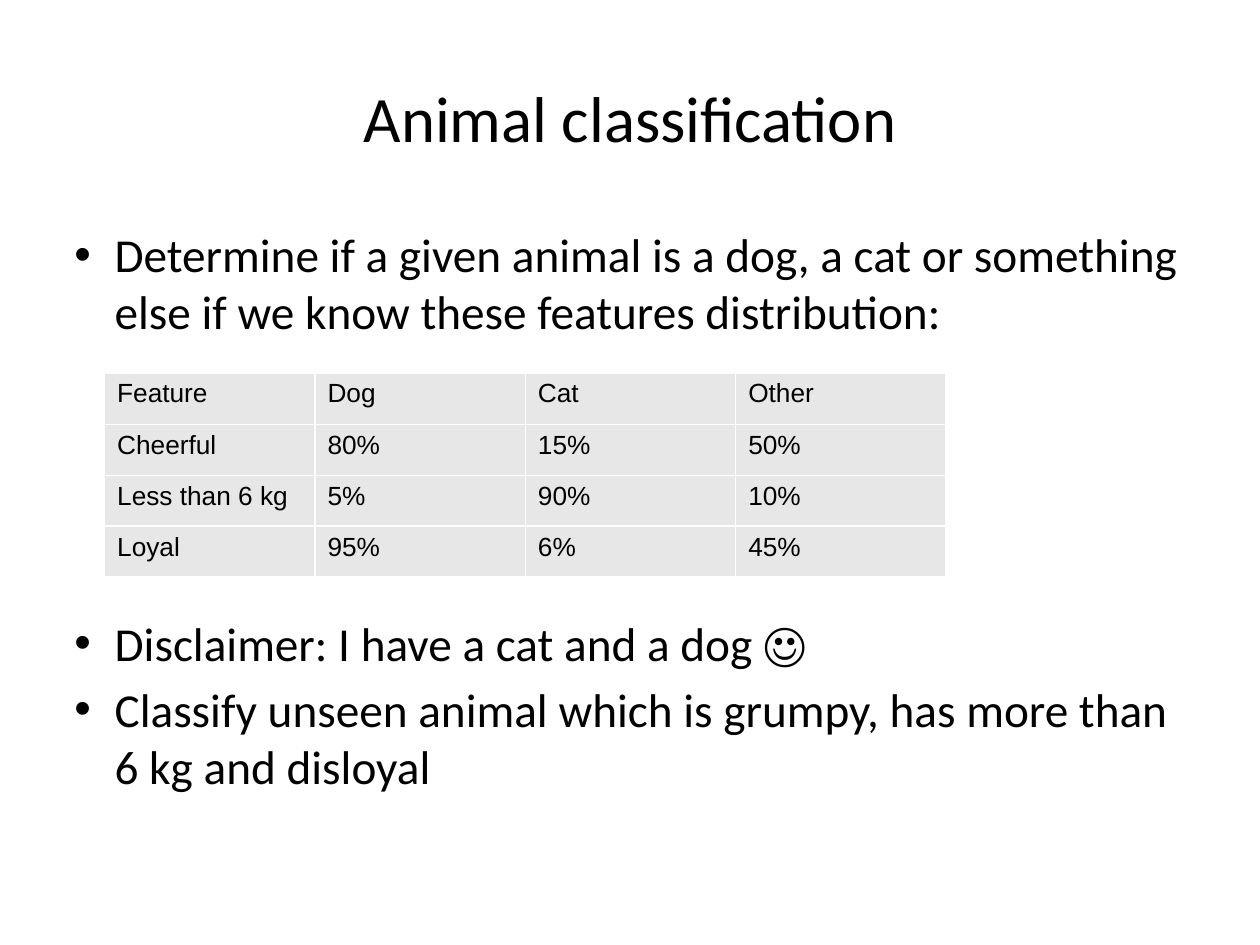
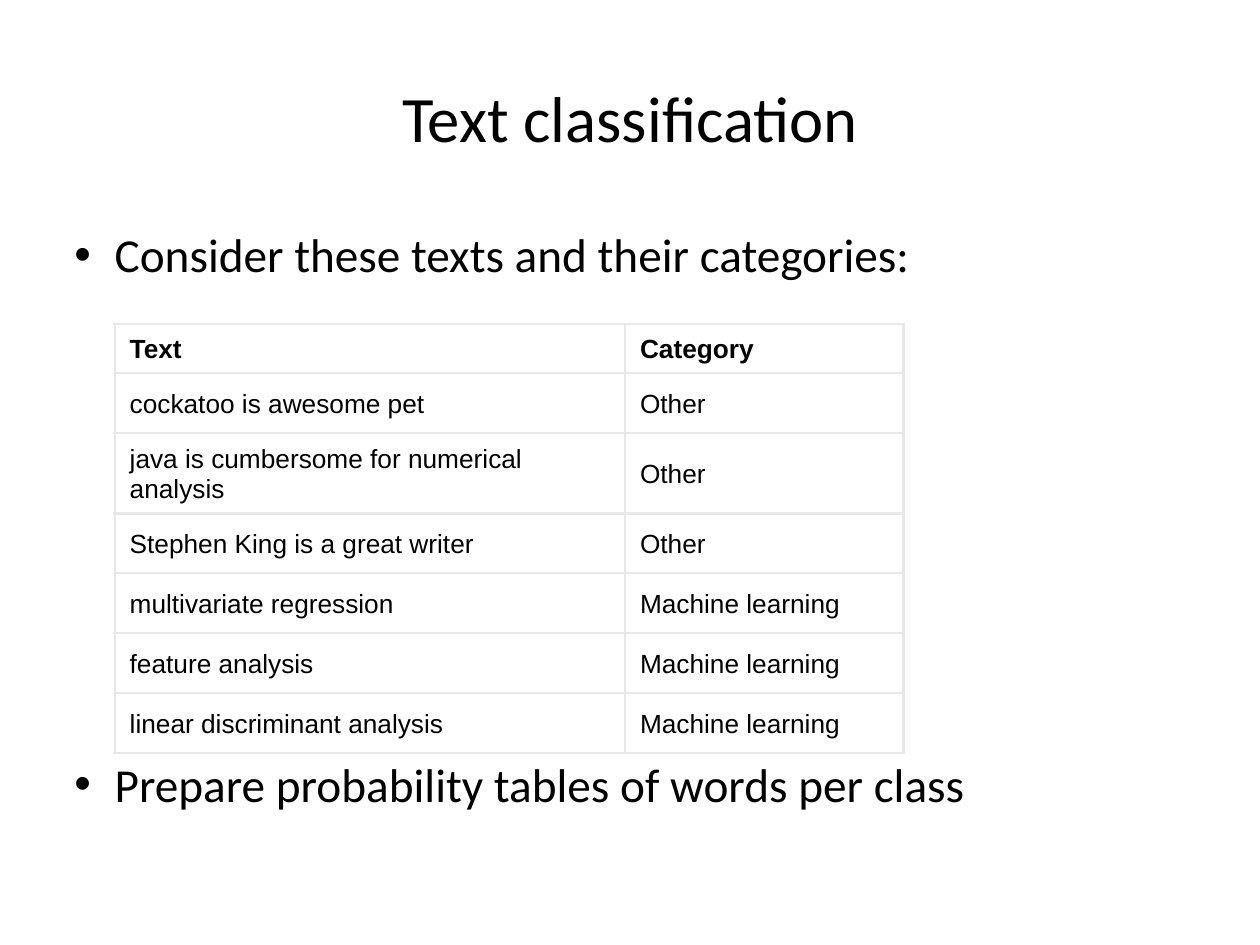
import pptx
import pptx.dml.color
import pptx.enum.text
import pptx.oxml
import pptx.oxml.ns
import pptx.util
from pptx.util import Inches

BLACK = pptx.dml.color.RGBColor(0x00, 0x00, 0x00)
WHITE = pptx.dml.color.RGBColor(0xFF, 0xFF, 0xFF)
CELL_GREY = pptx.dml.color.RGBColor(0xE7, 0xE7, 0xE7)
BORDER_GREY = pptx.dml.color.RGBColor(0xE8, 0xE8, 0xE8)
MIDDLE = pptx.enum.text.MSO_ANCHOR.MIDDLE
TOP = pptx.enum.text.MSO_ANCHOR.TOP
BULLET_GAP = 5.4

SLIDES = [
    {
        "title": "Animal classification",
        "body_height": 5.23,
        # Each bullet: space before in points, text
        "bullets": [
            (BULLET_GAP, "Determine if a given animal is a dog, a cat or something else "
                         "if we know these features distribution:"),
            (157, "Disclaimer: I have a cat and a dog ☺"),
            (BULLET_GAP, "Classify unseen animal which is grumpy, has more than 6 kg and disloyal"),
        ],
        "rows": [
            ("Feature", "Dog", "Cat", "Other"),
            ("Cheerful", "80%", "15%", "50%"),
            ("Less than 6 kg", "5%", "90%", "10%"),
            ("Loyal", "95%", "6%", "45%"),
        ],
        "table_box": (0.83, 2.96, 6.67, 1.62),
        "column_widths": [1.67] * 4,
        "header_height": 0.41,
        "header_bold": False,
        "fill": CELL_GREY,
        "border": (WHITE, 1),
        "anchor": TOP,
        "margins": (0.1, 0.05, 0.1, 0.05),
    },
    {
        "title": "Text classification",
        "body_height": 4.95,
        "bullets": [
            (BULLET_GAP, "Consider these texts and their categories:"),
            (270, "Prepare probability tables of words per class"),
        ],
        "rows": [
            ("Text", "Category"),
            ("cockatoo is awesome pet", "Other"),
            ("java is cumbersome for numerical analysis", "Other"),
            ("Stephen King is a great writer", "Other"),
            ("multivariate regression", "Machine learning"),
            ("feature analysis", "Machine learning"),
            ("linear discriminant analysis", "Machine learning"),
        ],
        "table_box": (0.91, 2.57, 6.26, 3.21),
        "column_widths": [4.05, 2.21],
        "header_height": 0.36,
        "header_bold": True,
        "fill": WHITE,
        "border": (BORDER_GREY, 1.5),
        "anchor": MIDDLE,
        "margins": (0.12, 0.08, 0.12, 0.06),
    },
]


def format_text(paragraph, font_name, size, bold=False):
    for run in paragraph.runs:
        run.font.name = font_name
        run.font.size = pptx.util.Pt(size)
        run.font.bold = bold
        run.font.color.rgb = BLACK


def set_borders(cell, color, width):
    """Draw all four cell edges; edges must precede the fill in tcPr."""
    properties = cell._tc.get_or_add_tcPr()
    for index, edge in enumerate(("lnL", "lnR", "lnT", "lnB")):
        properties.insert(index, pptx.oxml.parse_xml(
            f'<a:{edge} {pptx.oxml.ns.nsdecls("a")} w="{pptx.util.Pt(width)}">'
            f'<a:solidFill><a:srgbClr val="{color}"/></a:solidFill></a:{edge}>'))


presentation = pptx.Presentation()
presentation.slide_width = Inches(10)
presentation.slide_height = Inches(7.5)

for content in SLIDES:
    slide = presentation.slides.add_slide(presentation.slide_layouts[5])

    title = slide.shapes.title
    title.left, title.top, title.width, title.height = map(Inches, (0.5, 0.3, 9, 1.25))
    title.text_frame.text = content["title"]
    title.text_frame.vertical_anchor = MIDDLE
    title_paragraph = title.text_frame.paragraphs[0]
    title_paragraph.alignment = pptx.enum.text.PP_ALIGN.CENTER
    format_text(title_paragraph, "Calibri", 37)

    body = slide.shapes.add_textbox(
        Inches(0.5), Inches(1.75), Inches(9), Inches(content["body_height"]))
    frame = body.text_frame
    frame.word_wrap = True
    frame.margin_left = frame.margin_right = Inches(0.09)
    frame.margin_top = frame.margin_bottom = Inches(0.04)
    frame.text = "\n".join(text for gap, text in content["bullets"])
    for paragraph, (gap, text) in zip(frame.paragraphs, content["bullets"]):
        paragraph.space_before = pptx.util.Pt(gap)
        format_text(paragraph, "Calibri", 27)
        properties = paragraph._p.get_or_add_pPr()
        properties.set("marL", str(Inches(0.32)))
        properties.set("indent", str(-Inches(0.32)))
        for bullet_xml in ('<a:buFont {} typeface="Arial"/>', '<a:buChar {} char="•"/>'):
            properties.append(pptx.oxml.parse_xml(
                bullet_xml.format(pptx.oxml.ns.nsdecls("a"))))

    rows = content["rows"]
    left, top, width, height = content["table_box"]
    table = slide.shapes.add_table(
        len(rows), len(rows[0]),
        Inches(left), Inches(top), Inches(width), Inches(height)).table
    table.first_row = table.horz_banding = False
    for column, column_width in zip(table.columns, content["column_widths"]):
        column.width = Inches(column_width)
    header_height = content["header_height"]
    row_height = (height - header_height) / (len(rows) - 1)
    for row_index, row in enumerate(rows):
        is_header = row_index == 0
        table.rows[row_index].height = Inches(header_height if is_header else row_height)
        for column_index, text in enumerate(row):
            cell = table.cell(row_index, column_index)
            cell.text_frame.text = text
            format_text(cell.text_frame.paragraphs[0], "Arial", 15,
                        is_header and content["header_bold"])
            cell.vertical_anchor = content["anchor"]
            (cell.margin_left, cell.margin_top,
             cell.margin_right, cell.margin_bottom) = map(Inches, content["margins"])
            cell.fill.solid()
            cell.fill.fore_color.rgb = content["fill"]
            set_borders(cell, *content["border"])

presentation.save("out.pptx")
